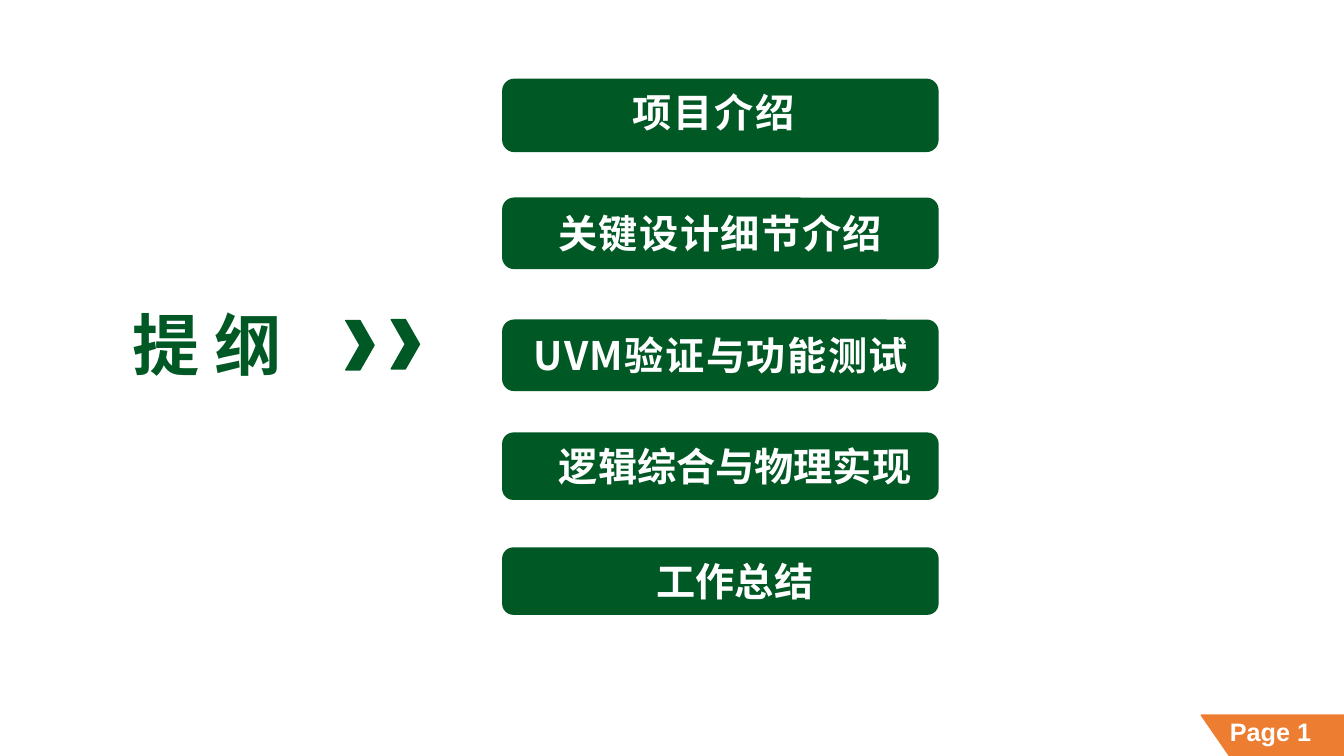
from dataclasses import dataclass
from typing import Any

from lxml.etree import SubElement
from pptx import Presentation
from pptx.dml.color import RGBColor
from pptx.enum.shapes import MSO_SHAPE as Preset
from pptx.enum.text import MSO_ANCHOR as Anchor
from pptx.enum.text import MSO_AUTO_SIZE as AutoSize
from pptx.enum.text import PP_ALIGN as Align
from pptx.oxml.ns import qn
from pptx.util import Inches, Pt

WIDTH, HEIGHT = Inches(13.33), Inches(7.5)
GREEN = RGBColor(0x00, 0x58, 0x25)
ORANGE = RGBColor(0xED, 0x7D, 0x31)
WHITE = RGBColor(0xFF, 0xFF, 0xFF)
CHINESE_FONT = "Noto Sans CJK SC"
BAR_LEFT, BAR_WIDTH = 37.36, 32.48
CHEVRON_LEFT, CHEVRON_STEP = 25.73, 3.38


@dataclass(frozen=True)
class Box:
    """A frame in percent of the slide's width and height."""

    left: float
    top: float
    width: float
    height: float

    def frame(self) -> tuple[int, int, int, int]:
        """Return the frame in slide units."""
        return (
            int(WIDTH * self.left / 100),
            int(HEIGHT * self.top / 100),
            int(WIDTH * self.width / 100),
            int(HEIGHT * self.height / 100),
        )


@dataclass(frozen=True)
class Topic:
    """One outline entry: its bar and the label on it."""

    text: str
    bar_top: float
    bar_height: float
    label: Box
    align: Align = Align.CENTER
    wrap: bool = True
    line_spacing: float = 1.0
    tracking: float = 0


TOPICS = [
    Topic("项目介绍", 10.4, 9.73, Box(46.36, 11.07, 17.85, 7.6), align=Align.LEFT, tracking=1.1),
    Topic("关键设计细节介绍", 26.13, 9.47, Box(38.78, 27.07, 29.63, 7.6), tracking=1.1),
    Topic("UVM验证与功能测试", 42.27, 9.47, Box(37.43, 43.2, 32.41, 7.6), tracking=1.1),
    Topic("逻辑综合与物理实现", 57.2, 8.93, Box(40.81, 56.67, 27.76, 8.8), wrap=False, line_spacing=1.2),
    Topic("工作总结", 72.4, 8.93, Box(48.09, 71.87, 13.2, 8.8), wrap=False, line_spacing=1.2),
]


def add_preset(slide: Any, preset: Preset, box: Box, color: RGBColor, outlined: bool = False) -> Any:
    """Add a filled preset shape, with a line of the same colour if outlined."""
    shape = slide.shapes.add_shape(preset, *box.frame())
    shape.shadow.inherit = False
    shape.fill.solid()
    shape.fill.fore_color.rgb = color
    if outlined:
        shape.line.color.rgb = color
        shape.line.width = Pt(1)
    else:
        shape.line.fill.background()
    return shape


def write_text(
    shape: Any,
    text: str,
    *,
    size: float,
    color: RGBColor,
    font_name: str = CHINESE_FONT,
    align: Align = Align.LEFT,
    wrap: bool = False,
    line_spacing: float = 1.0,
    tracking: float = 0,
) -> None:
    """Write one bold paragraph into a shape."""
    frame = shape.text_frame
    frame.word_wrap = wrap
    frame.auto_size = AutoSize.SHAPE_TO_FIT_TEXT
    frame.vertical_anchor = Anchor.TOP
    paragraph = frame.paragraphs[0]
    paragraph.alignment = align
    paragraph.line_spacing = line_spacing
    paragraph.space_before = Pt(0)
    run = paragraph.add_run()
    run.text = text
    run.font.size = Pt(size)
    run.font.bold = True
    run.font.color.rgb = color
    run.font.name = font_name
    properties = run._r.get_or_add_rPr()
    SubElement(properties, qn("a:ea")).set("typeface", font_name)
    if tracking:
        properties.set("spc", str(round(tracking * 100)))


def add_topic(slide: Any, topic: Topic) -> None:
    """Draw a bar and its label."""
    bar = Box(BAR_LEFT, topic.bar_top, BAR_WIDTH, topic.bar_height)
    add_preset(slide, Preset.ROUNDED_RECTANGLE, bar, GREEN)
    write_text(
        slide.shapes.add_textbox(*topic.label.frame()),
        topic.text,
        size=28,
        color=WHITE,
        align=topic.align,
        wrap=topic.wrap,
        line_spacing=topic.line_spacing,
        tracking=topic.tracking,
    )


def add_page_mark(slide: Any) -> None:
    """Draw the page number on its corner flag."""
    flag = add_preset(slide, Preset.FLOWCHART_MANUAL_INPUT, Box(93.17, 87.87, 3.08, 18.93), ORANGE, outlined=True)
    flag.rotation = 270
    page = slide.shapes.add_textbox(*Box(90.77, 94.13, 9.75, 5.33).frame())
    write_text(page, "Page 1", size=18, color=WHITE, font_name="Arial")


def main() -> None:
    """Build the outline slide and save it."""
    presentation = Presentation()
    presentation.slide_width, presentation.slide_height = WIDTH, HEIGHT
    slide = presentation.slides.add_slide(presentation.slide_layouts[5])
    title = slide.shapes.title
    title.left, title.top, title.width, title.height = Box(9.08, 39.47, 13.13, 12.13).frame()
    write_text(title, "提 纲", size=48, color=GREEN)
    add_page_mark(slide)
    for index, top in enumerate((42.4, 42.27)):
        chevron = Box(CHEVRON_LEFT + index * CHEVRON_STEP, top, 2.1, 6.53)
        add_preset(slide, Preset.CHEVRON, chevron, GREEN, outlined=True)
    for topic in TOPICS:
        add_topic(slide, topic)
    presentation.save("out.pptx")


if __name__ == "__main__":
    main()
